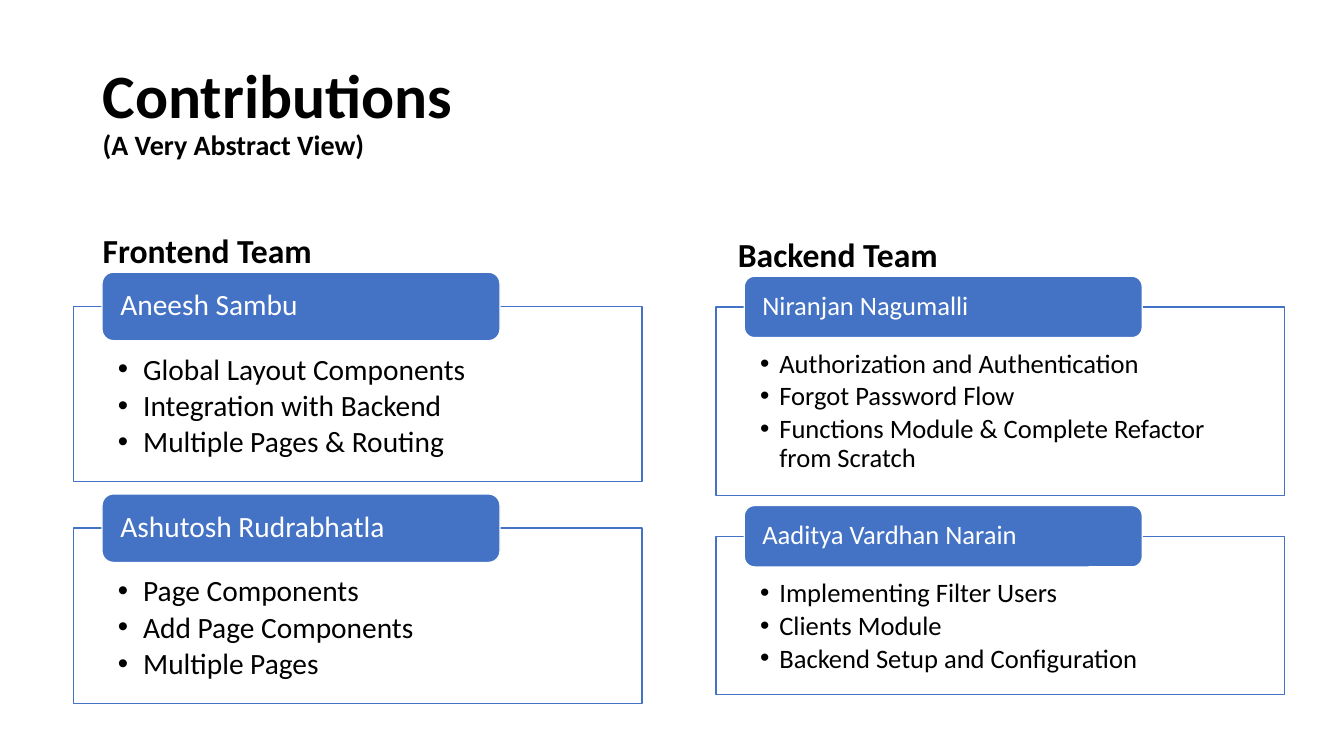
from lxml.etree import SubElement
from pptx import Presentation
from pptx.dml.color import RGBColor
from pptx.enum.shapes import MSO_SHAPE as Shape
from pptx.enum.text import MSO_ANCHOR as Anchor, PP_ALIGN as Align
from pptx.oxml.ns import qn
from pptx.util import Inches, Pt

BLUE = RGBColor(0x44, 0x72, 0xC4)
WHITE = RGBColor(0xFF, 0xFF, 0xFF)
BLACK = RGBColor(0, 0, 0)
FONT = "Calibri"

# Content
TITLE = ("Contributions", "(A Very Abstract View)")
TEAMS = [
    {"name": "Frontend Team", "head": (0.92, 1.84), "left": 0.73, "top": 2.7,
     "size": 21, "tab": 0.68, "gap": 0.12, "dent": 0.25, "pad": (0.48, 0.16),
     "cards": [
         ("Aneesh Sambu", 1.74, ["Global Layout Components",
                                 "Integration with Backend",
                                 "Multiple Pages & Routing"]),
         ("Ashutosh Rudrabhatla", 1.74, ["Page Components",
                                         "Add Page Components",
                                         "Multiple Pages"])]},
    {"name": "Backend Team", "head": (7.22, 1.87), "left": 7.1, "top": 2.74,
     "size": 19, "tab": 0.61, "gap": 0.1, "dent": 0.19, "pad": (0.43, 0.15),
     "cards": [
         ("Niranjan Nagumalli", 1.87, [
             "Authorization and Authentication",
             "Forgot Password Flow",
             "Functions Module & Complete Refactor from Scratch"]),
         ("Aaditya Vardhan Narain", 1.57, ["Implementing Filter Users",
                                           "Clients Module",
                                           "Backend Setup and Configuration"])]},
]

# Card measures, in inches
WIDE = 5.64
TAB_WIDE = 0.7 * WIDE
TAB_IN = 0.05 * WIDE
SIDE = 0.44
TAB_PAD = 0.15

deck = Presentation()
deck.slide_width, deck.slide_height = Inches(13.33), Inches(7.5)
slide = deck.slides.add_slide(deck.slide_layouts[6])


def style(par, sizes, color, bold=False):
    par.alignment = Align.LEFT
    par.line_spacing = 0.9
    for run, size in zip(par.runs, sizes):
        font = run.font
        font.name, font.size, font.bold = FONT, Pt(size), bold
        font.color.rgb = color


def label(text, area, sizes, anchor):
    frame = slide.shapes.add_textbox(*map(Inches, area)).text_frame
    frame.word_wrap = True
    frame.vertical_anchor = anchor
    par = frame.paragraphs[0]
    par.text = text
    style(par, sizes, BLACK, True)


def block(kind, area, fill, line, pads, anchor):
    shape = slide.shapes.add_shape(kind, *map(Inches, area))
    shape.shadow.inherit = False
    shape.fill.solid()
    shape.fill.fore_color.rgb = fill
    shape.line.color.rgb = line
    shape.line.width = Pt(1)
    frame = shape.text_frame
    frame.word_wrap = True
    frame.vertical_anchor = anchor
    (frame.margin_left, frame.margin_top,
     frame.margin_right, frame.margin_bottom) = map(Inches, pads)
    return shape


def bullet(par, dent):
    props = par._p.get_or_add_pPr()
    props.set("marL", str(Inches(dent)))
    props.set("indent", str(-Inches(dent)))
    SubElement(props, qn("a:buFont"), typeface="Arial")
    SubElement(props, qn("a:buChar"), char="•")


def card(team, top, name, high, tasks):
    size, tab = team["size"], team["tab"]
    above, below = team["pad"]
    # Task box, starting at the middle of the name tab
    box = block(Shape.RECTANGLE, (team["left"], top + tab / 2, WIDE, high),
                WHITE, BLUE, (SIDE, above, SIDE, below), Anchor.TOP)
    tint = box.fill._xPr.find(qn("a:solidFill"))[0]
    SubElement(tint, qn("a:alpha"), val="90000")
    box.text_frame.text = "\n".join(tasks)
    for par in box.text_frame.paragraphs:
        bullet(par, team["dent"])
        style(par, [size], BLACK)
        par.space_after = Pt(0.15 * size)
    # Name tab
    tag = block(Shape.ROUNDED_RECTANGLE,
                (team["left"] + TAB_IN, top, TAB_WIDE, tab),
                BLUE, WHITE, (TAB_PAD, 0, TAB_PAD, 0), Anchor.MIDDLE)
    tag.text_frame.text = name
    style(tag.text_frame.paragraphs[0], [size], WHITE)


# Title
label("\v".join(TITLE), (0.92, 0.4, 11.5, 1.45), (44, 20), Anchor.MIDDLE)

# Teams
for team in TEAMS:
    label(team["name"], (*team["head"], WIDE, 0.9), [24], Anchor.BOTTOM)
    top = team["top"]
    for name, high, tasks in team["cards"]:
        card(team, top, name, high, tasks)
        top += team["tab"] / 2 + high + team["gap"]

deck.save("out.pptx")
